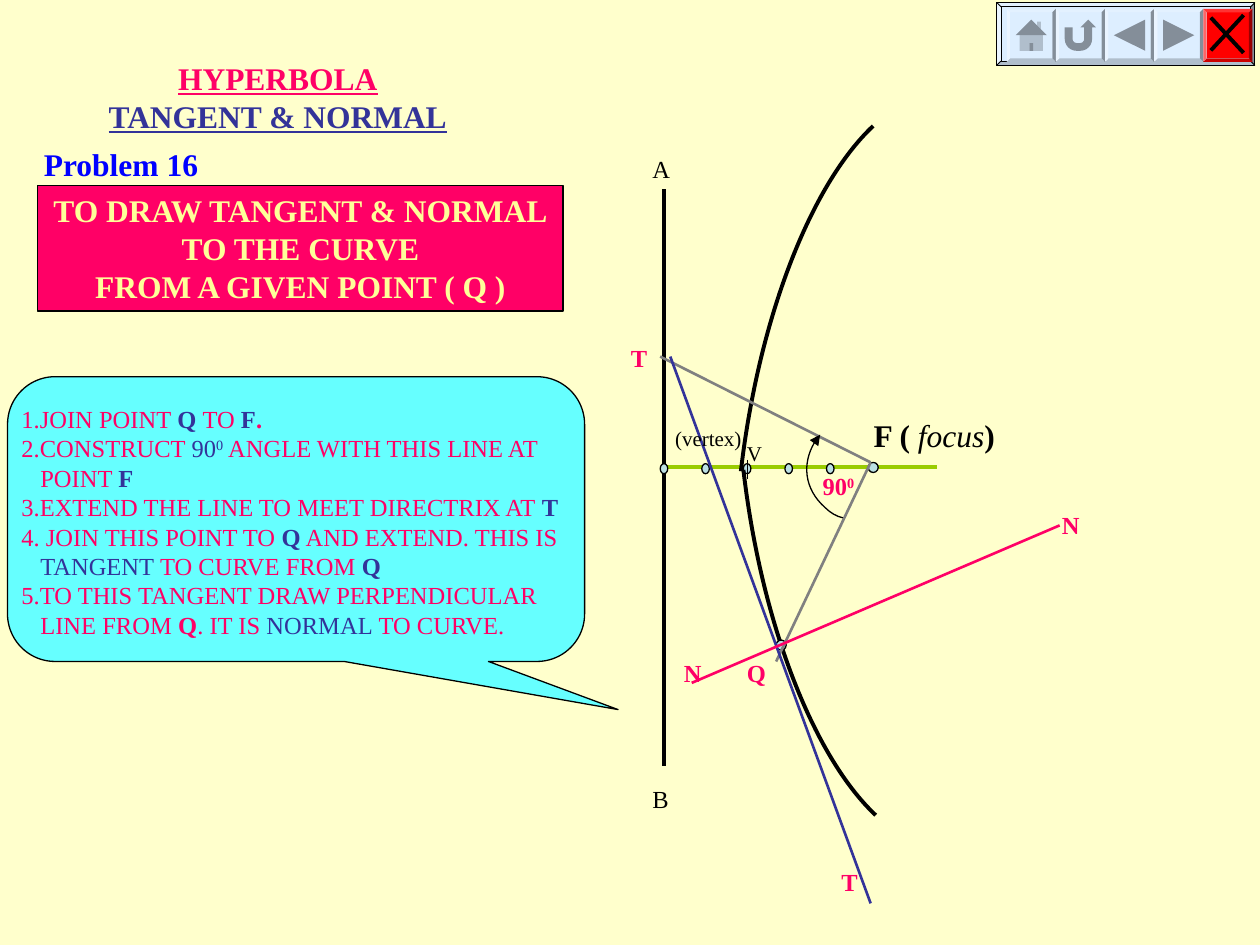
import pptx
import pptx.util
import pptx.dml.color
import pptx.enum.shapes
import pptx.enum.text
import pptx.oxml.ns
import pptx.oxml.xmlchemy

Inches = pptx.util.Inches
Pt = pptx.util.Pt
SHAPES = pptx.enum.shapes.MSO_SHAPE
CENTER = pptx.enum.text.PP_ALIGN.CENTER
LEFT = pptx.enum.text.PP_ALIGN.LEFT
FONT = "Times New Roman"
BLACK, PINK, NAVY, GREY = "000000", "FF0066", "333399", "808080"
BUTTON_BLUE = "DDEEFF"


def color(value):
    return pptx.dml.color.RGBColor.from_string(value)


def add_child(parent, tag, **attributes):
    child = pptx.oxml.xmlchemy.OxmlElement(tag)
    for name, value in attributes.items():
        child.set(name, value)
    parent.append(child)
    return child


def add_shape(slide, kind, left, top, width, height, fill, line_width=0.75):
    shape = slide.shapes.add_shape(
        kind, Inches(left), Inches(top), Inches(width), Inches(height))
    shape.shadow.inherit = False
    shape.fill.solid()
    shape.fill.fore_color.rgb = color(fill)
    if line_width:
        shape.line.color.rgb = color(BLACK)
        shape.line.width = Pt(line_width)
    else:
        shape.line.fill.background()
    return shape


def add_dot(slide, center_x, center_y, width=0.08, height=0.08):
    add_shape(slide, SHAPES.OVAL, center_x - width / 2, center_y - height / 2,
              width, height, "BBE0E3")


def add_line(slide, start, end, line_color=BLACK, width=1.5):
    line = slide.shapes.add_connector(
        pptx.enum.shapes.MSO_CONNECTOR.STRAIGHT,
        Inches(start[0]), Inches(start[1]), Inches(end[0]), Inches(end[1]))
    line.line.color.rgb = color(line_color)
    line.line.width = Pt(width)
    add_child(line._element.spPr, "a:effectLst")


def add_curve(slide, points, width, arrow=False):
    """Draw cubic curves; after the start, every three points make one curve."""
    corners = [(Inches(x), Inches(y)) for x, y in points]
    builder = slide.shapes.build_freeform(*corners[0])
    builder.add_line_segments(corners[1:], close=False)
    shape = builder.convert_to_shape()
    segments = list(shape.element.iter(pptx.oxml.ns.qn("a:lnTo")))
    for first in range(0, len(segments), 3):
        curve = pptx.oxml.xmlchemy.OxmlElement("a:cubicBezTo")
        segments[first].addprevious(curve)
        for segment in segments[first:first + 3]:
            curve.append(segment[0])
            segment.getparent().remove(segment)
    shape.shadow.inherit = False
    shape.fill.background()
    shape.line.color.rgb = color(BLACK)
    shape.line.width = Pt(width)
    if arrow:
        add_child(shape.line._get_or_add_ln(), "a:tailEnd", type="triangle")


def write_paragraph(paragraph, runs, size, text_color, bold=False, align=LEFT):
    """Runs are (text, marks): b bold, i italic, n navy, s superscript."""
    paragraph.alignment = align
    font = paragraph.font
    font.name, font.size, font.bold = FONT, Pt(size), bold
    font.color.rgb = color(text_color)
    for text, marks in runs:
        run = paragraph.add_run()
        run.text = text
        if "b" in marks:
            run.font.bold = True
        if "i" in marks:
            run.font.italic = True
        if "n" in marks:
            run.font.color.rgb = color(NAVY)
        if "s" in marks:
            run._r.get_or_add_rPr().set("baseline", "30000")


def add_paragraphs(frame, count):
    return [frame.paragraphs[0]] + [frame.add_paragraph() for _ in range(count - 1)]


def add_label(slide, left, top, width, height, runs, size=14,
              text_color=BLACK, bold=False, align=LEFT):
    box = slide.shapes.add_textbox(
        Inches(left), Inches(top), Inches(width), Inches(height))
    box.text_frame.word_wrap = False
    write_paragraph(box.text_frame.paragraphs[0], runs, size, text_color, bold, align)
    return box


def draw_heading(slide, left, top, width, height):
    box = add_label(slide, left, top, width, height, [("HYPERBOLA", "")],
                    18, PINK, True, CENTER)
    write_paragraph(box.text_frame.add_paragraph(), [("TANGENT & NORMAL", "")],
                    18, NAVY, True, CENTER)
    for paragraph in box.text_frame.paragraphs:
        paragraph.font.underline = True


def draw_problem(slide, left, top, width, height):
    add_label(slide, left - 0.05, top - 0.37, 1.43, 0.4,
              [("Problem 16", "")], 18, "0000FF", True)
    frame = add_shape(slide, SHAPES.RECTANGLE, left, top, width, height, PINK).text_frame
    frame.word_wrap = False
    lines = ["TO DRAW TANGENT & NORMAL", "TO THE CURVE", "FROM A GIVEN POINT ( Q )"]
    for paragraph, line in zip(add_paragraphs(frame, len(lines)), lines):
        write_paragraph(paragraph, [(line, "")], 18, "FFFF99", True, CENTER)


def draw_steps(slide, left, top, width, height):
    callout = add_shape(slide, SHAPES.ROUNDED_RECTANGULAR_CALLOUT,
                        left, top, width, height, "66FFFF")
    for index, value in enumerate((0.558, 0.669, 0.167)):
        callout.adjustments[index] = value
    frame = callout.text_frame
    frame.word_wrap = True
    frame.margin_left = frame.margin_right = frame.margin_bottom = 0
    frame.margin_top = Inches(0.04)
    steps = [
        [("1.JOIN POINT ", ""), ("Q ", "bn"), ("TO ", ""), ("F", "bn"), (".", "b")],
        [("2.CONSTRUCT ", ""), ("90", "n"), ("0", "ns"), (" ANGLE WITH THIS LINE AT", "")],
        [("POINT ", ""), ("F", "bn")],
        [("3.EXTEND THE LINE TO MEET DIRECTRIX AT ", ""), ("T", "bn")],
        [("4. JOIN THIS POINT TO ", ""), ("Q", "bn"), (" AND EXTEND. THIS IS", "")],
        [("TANGENT", "n"), (" TO CURVE FROM ", ""), ("Q", "bn")],
        [("5.TO THIS TANGENT DRAW PERPENDICULAR", "")],
        [("LINE FROM ", ""), ("Q", "b"), (". IT IS", ""), (" NORMAL", "n"),
         (" TO CURVE.", "")],
    ]
    for paragraph, runs in zip(add_paragraphs(frame, len(steps)), steps):
        if not runs[0][0][0].isdigit():
            paragraph._p.get_or_add_pPr().set("marL", str(Inches(0.15)))
        write_paragraph(paragraph, runs, 14, PINK)


def draw_construction(slide, left, top):
    """Draw the hyperbola around the point where axis and directrix meet."""
    def at(x, y):
        return left + x, top + y

    add_line(slide, at(0, -2.21), at(0, 2.37), width=2.25)
    add_line(slide, at(0, 0), at(2.17, 0), "99CC00", 2.25)
    for index in range(5):
        add_dot(slide, *at(index * 0.33, 0.01), width=0.06)
    add_line(slide, at(0.66, -0.06), at(0.66, 0.09), width=0.75)
    for branch in (
        [(1.68, 2.76), (1.18, 2.29), (0.77, 1.22), (0.63, 0.02)],
        [(1.66, -2.71), (1.16, -2.24), (0.75, -1.17), (0.61, 0.03)],
    ):
        add_curve(slide, [at(*point) for point in branch], 2.25)
    add_dot(slide, *at(1.66, 0))
    add_dot(slide, *at(0.93, 1.41))

    focus = at(1.64, -0.04)
    add_line(slide, at(0.89, 1.54), focus, GREY)
    add_line(slide, focus, at(-0.03, -0.88), GREY)
    add_line(slide, at(0.05, -0.88), at(1.64, 3.46), NAVY)
    add_line(slide, at(0.22, 1.71), at(3.14, 0.46), PINK)
    angle = [(1.42, 0.4), (1.37, 0.39), (1.32, 0.36), (1.28, 0.32),
             (1.11, 0.17), (1.09, -0.09), (1.24, -0.26)]
    add_curve(slide, [at(*point) for point in angle], 0.75, arrow=True)

    add_label(slide, *at(1.56, -0.46), 1.17, 0.4,
              [("F ( ", "b"), ("focus", "i"), (")", "b")], 18, align=CENTER)
    add_label(slide, *at(0.56, -0.26), 0.32, 0.3, [("V", "")], 12)
    add_label(slide, *at(-0.01, -0.38), 0.75, 0.3, [("(vertex)", "")], 12)
    for text, x, y in (("A", -0.19, -2.54), ("B", -0.19, 2.46)):
        add_label(slide, *at(x, y), 0.34, 0.34, [(text, "")])
    for text, x, y in (("Q", 0.56, 1.46), ("N", 0.06, 1.46), ("N", 3.06, 0.29),
                       ("T", -0.36, -1.04), ("T", 1.31, 3.12)):
        add_label(slide, *at(x, y), 0.34, 0.34, [(text, "")], 14, PINK, True)
    add_label(slide, *at(1.16, -0.02), 0.45, 0.34, [("90", ""), ("0", "s")],
              14, PINK, True)


def draw_navigation(slide, left, top, width, height):
    panel = add_shape(slide, SHAPES.BEVEL, left, top, width, height, BUTTON_BLUE, 0.5)
    panel.adjustments[0] = 0.07
    button_width, button_height, edge = 0.39, 0.42, 0.03
    icons = [SHAPES.ACTION_BUTTON_HOME, SHAPES.ACTION_BUTTON_RETURN,
             SHAPES.ACTION_BUTTON_BACK_OR_PREVIOUS,
             SHAPES.ACTION_BUTTON_FORWARD_OR_NEXT, None]
    for index, icon in enumerate(icons):
        x, y = left + 0.08 + index * button_width, top + 0.05
        button = add_shape(slide, SHAPES.BEVEL, x, y, button_width, button_height,
                           BUTTON_BLUE if icon else "FF0000", 0)
        button.adjustments[0] = 0.07
        if icon:
            add_shape(slide, icon, x + edge, y + edge, button_width - 2 * edge,
                      button_height - 2 * edge, BUTTON_BLUE, 0)
        else:
            add_line(slide, (x + 0.06, y + 0.07), (x + 0.32, y + 0.35), width=2.25)
            add_line(slide, (x + 0.32, y + 0.05), (x + 0.06, y + 0.33), width=2.25)


def main():
    presentation = pptx.Presentation()
    presentation.slide_width = Inches(10)
    presentation.slide_height = Inches(7.5)
    slide = presentation.slides.add_slide(presentation.slide_layouts[6])
    slide.background.fill.solid()
    slide.background.fill.fore_color.rgb = color("FFFFCC")
    draw_construction(slide, 5.27, 3.71)
    draw_heading(slide, 0.75, 0.42, 2.91, 0.7)
    draw_problem(slide, 0.3, 1.47, 4.17, 1)
    draw_steps(slide, 0.06, 2.99, 4.58, 2.26)
    draw_navigation(slide, 7.91, 0.02, 2.05, 0.5)
    presentation.save("out.pptx")


if __name__ == "__main__":
    main()
